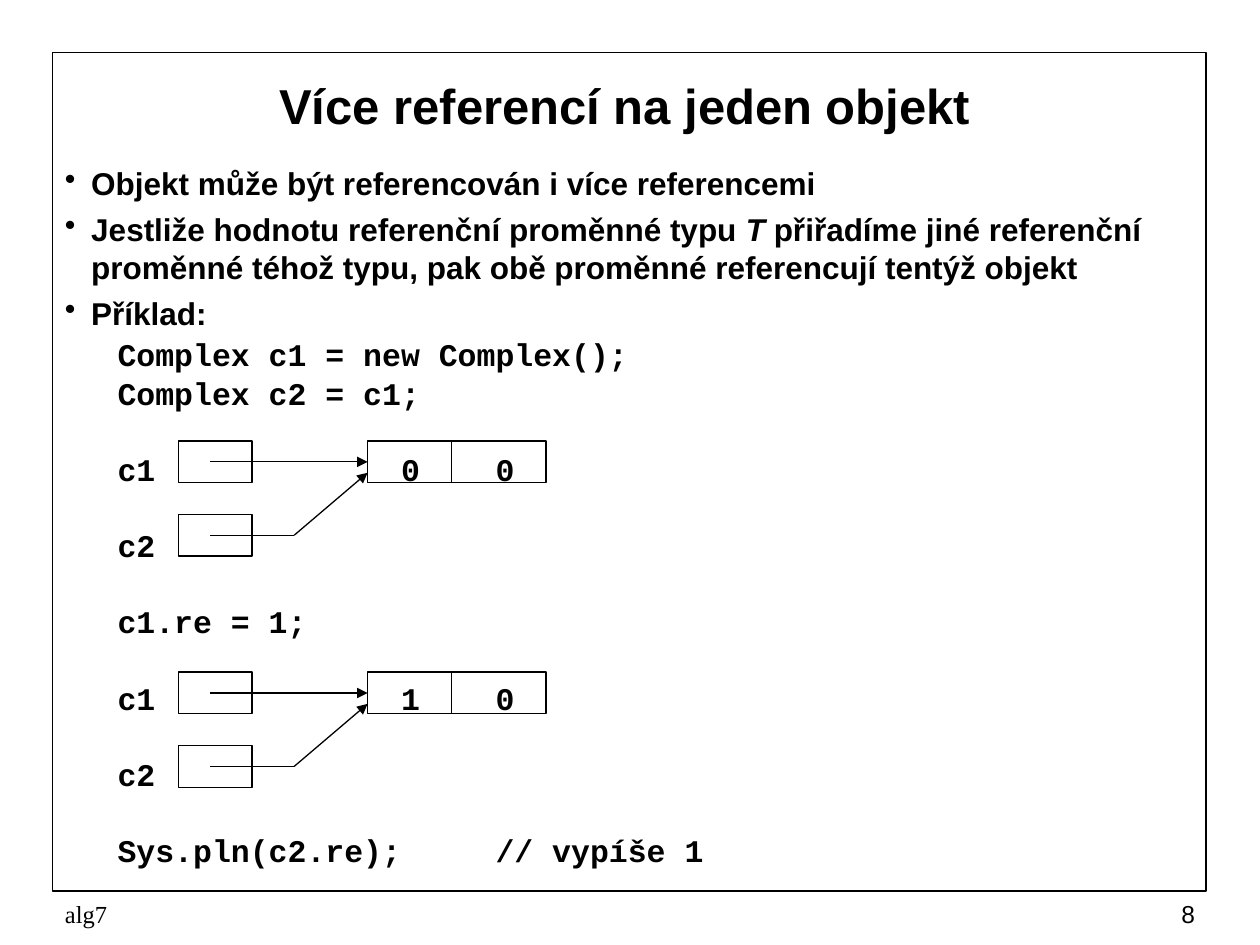
from dataclasses import dataclass
from lxml.etree import SubElement as Sub
from pptx import Presentation
from pptx.dml.color import RGBColor as Rgb
from pptx.enum.shapes import MSO_CONNECTOR as Link, MSO_SHAPE as Form
from pptx.enum.text import MSO_ANCHOR as Anchor, PP_ALIGN as Align
from pptx.oxml.ns import qn
from pptx.util import Cm, Pt


@dataclass(frozen=True)
class Theme:
    ink: Rgb = Rgb(0, 0, 0)
    sans: str = "Arial"
    mono: str = "Courier New"
    serif: str = "Times New Roman"
    head: int = 28
    body: int = 18
    foot: int = 14
    lead: float = 21.8
    gap: float = 4.5
    thin: float = 0.75
    edge: float = 1


class Deck:
    """Draws styled elements on the current slide."""

    def __init__(self, theme):
        self.theme = theme
        self.show = Presentation()
        self.show.slide_width, self.show.slide_height = Cm(25.4), Cm(19.05)
        self.slide = self.show.slides.add_slide(self.show.slide_layouts[6])

    def frame(self, x, y, w, h, anchor=Anchor.TOP):
        box = self.slide.shapes.add_textbox(Cm(x), Cm(y), Cm(w), Cm(h))
        box.text_frame.word_wrap = True
        box.text_frame.vertical_anchor = anchor
        return box.text_frame

    def style(self, para, face, size, bold=True):
        for run in para.runs:
            font = run.font
            font.name, font.size, font.bold = face, Pt(size), bold
            font.color.rgb = self.theme.ink

    def label(self, text, area, face, size, align, bold=False):
        frame = self.frame(*area, Anchor.MIDDLE)
        frame.text = text
        para = frame.paragraphs[0]
        para.alignment = align
        self.style(para, face, size, bold)

    def paras(self, frame, count):
        return [frame.paragraphs[0]] + [frame.add_paragraph() for _ in range(count - 1)]

    def points(self, items, area):
        frame = self.frame(*area)
        for row, (para, parts) in enumerate(zip(self.paras(frame, len(items)), items)):
            for col, part in enumerate(parts):
                run = para.add_run()
                run.text = part
                run.font.italic = col % 2 == 1
            props = para._p.get_or_add_pPr()
            props.set("marL", str(Cm(0.53)))
            props.set("indent", str(-Cm(0.53)))
            Sub(props, qn("a:buChar"), char="•")
            para.line_spacing = Pt(self.theme.lead)
            para.space_before = Pt(self.theme.gap if row else 0)
            self.style(para, self.theme.sans, self.theme.body)

    def code(self, lines, area):
        theme = self.theme
        frame = self.frame(*area)
        for para, (text, skip, cols) in zip(self.paras(frame, len(lines)), lines):
            para.text = text
            if cols:
                tabs = Sub(para._p.get_or_add_pPr(), qn("a:tabLst"))
                for col in cols:
                    Sub(tabs, qn("a:tab"), pos=str(Pt(col * theme.body * 0.6)), algn="l")
            para.line_spacing = Pt(theme.lead)
            para.space_before = Pt(skip * theme.lead)
            self.style(para, theme.mono, theme.body)

    def rect(self, home, x, y, w, h, width):
        box = home.shapes.add_shape(Form.RECTANGLE, Cm(x), Cm(y), Cm(w), Cm(h))
        box.shadow.inherit = False
        box.fill.background()
        box.line.color.rgb = self.theme.ink
        box.line.width = Pt(width)
        return box

    def line(self, home, start, end, arrow=False):
        ends = [Cm(v) for v in (*start, *end)]
        line = home.shapes.add_connector(Link.STRAIGHT, *ends)
        line.line.color.rgb = self.theme.ink
        line.line.width = Pt(self.theme.thin)
        if arrow:
            Sub(line.line._get_or_add_ln(), qn("a:tailEnd"), type="triangle")
        Sub(line._element.spPr, qn("a:effectLst"))
        return line

    def refs(self, top):
        home = self.slide.shapes.add_group_shape()
        thin, high, step = self.theme.thin, 0.84, 1.48
        mid, low = top + high / 2, top + step + high / 2
        for y in (top, top + step):
            self.rect(home, 3.6, y, 1.48, high, thin)
        pair = self.rect(home, 7.41, top, 3.6, high, thin)
        self.line(home, (4.23, mid), (7.41, mid), True).end_connect(pair, 1)
        self.line(home, (4.23, low), (5.93, low))
        self.line(home, (5.93, low), (7.41, top + 0.64), True)
        self.line(home, (9.1, top), (9.1, top + high))


def main():
    theme = Theme()
    deck = Deck(theme)
    deck.rect(deck.slide, 1.06, 1.06, 23.25, 16.9, theme.edge)
    deck.label("Více referencí na jeden objekt", (1.27, 1.27, 22.65, 1.7),
               theme.sans, theme.head, Align.CENTER, True)
    deck.points([
        ["Objekt může být referencován i více referencemi"],
        ["Jestliže hodnotu referenční proměnné typu ", "T ",
         "přiřadíme jiné referenční proměnné téhož typu, "
         "pak obě proměnné referencují tentýž objekt"],
        ["Příklad:"],
    ], (1.06, 3.18, 23.28, 3.6))
    deck.code([
        ("Complex c1 = new Complex();", 0, ()),
        ("Complex c2 = c1;", 0, ()),
        ("c1\t0\t0", 1, (15, 20)),
        ("c2", 1, ()),
        ("c1.re = 1;", 1, ()),
        ("c1\t1\t0", 1, (15, 20)),
        ("c2", 1, ()),
        ("Sys.pln(c2.re);\t// vypíše 1", 1, (20,)),
    ], (2.12, 6.63, 22.22, 11.3))
    for top in (8.89, 13.55):
        deck.refs(top)
    deck.label("alg7", (1.06, 17.99, 8.04, 0.85), theme.serif, theme.foot, Align.LEFT)
    deck.label("8", (19.05, 17.99, 5.29, 0.85), theme.sans, theme.foot, Align.RIGHT)
    deck.show.save("out.pptx")


if __name__ == "__main__":
    main()
